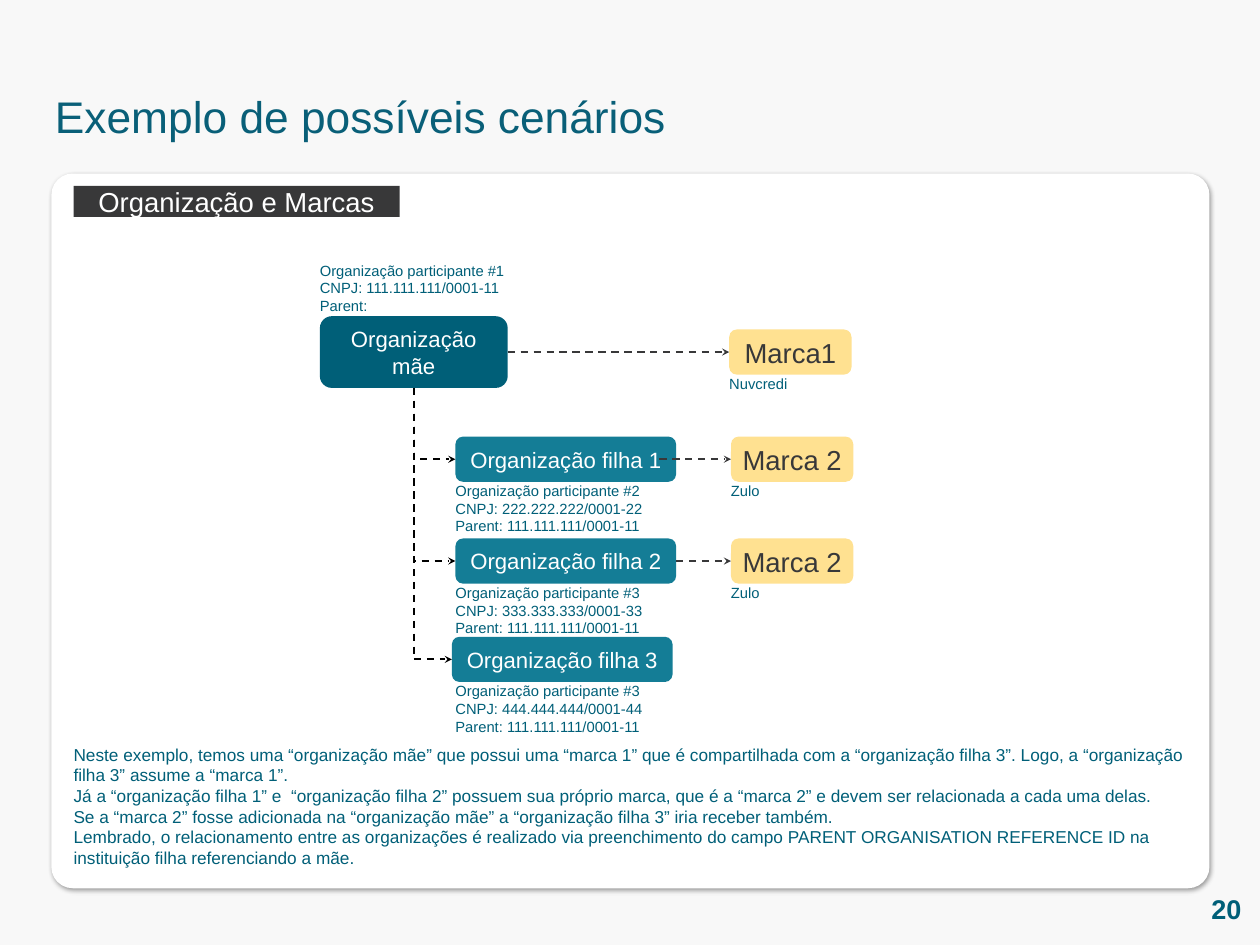
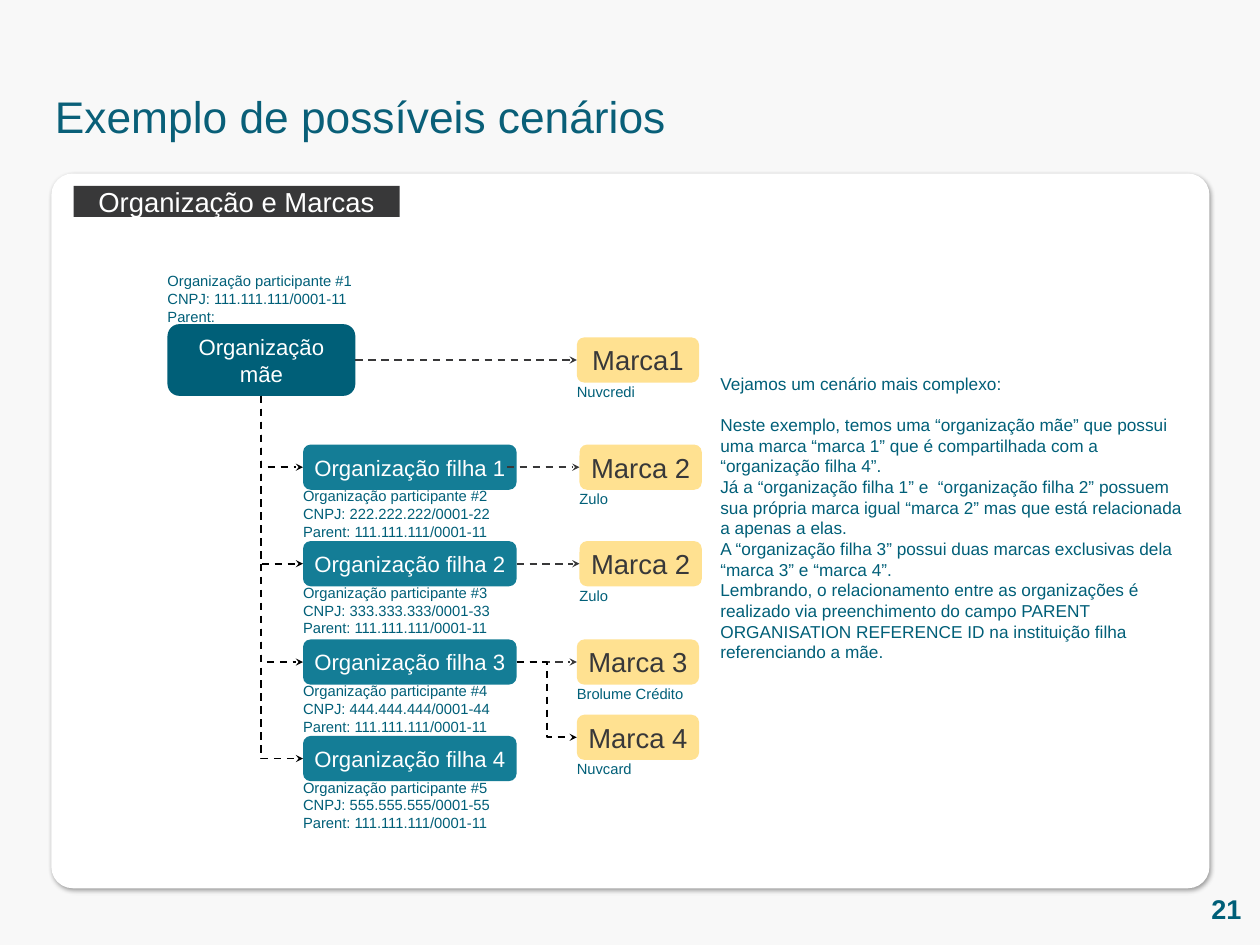
import pptx
import pptx.dml.color
import pptx.enum.dml
import pptx.enum.shapes
import pptx.enum.text
import pptx.oxml
import pptx.oxml.ns
import pptx.util

RGBColor = pptx.dml.color.RGBColor
BACKDROP = RGBColor(0xF8, 0xF8, 0xF8)
WHITE = RGBColor(0xFF, 0xFF, 0xFF)
BLACK = RGBColor(0x00, 0x00, 0x00)
NAVY = RGBColor(0x00, 0x5F, 0x78)
TITLE_BLUE = RGBColor(0x09, 0x5F, 0x78)
TEAL = RGBColor(0x14, 0x7D, 0x96)
YELLOW = RGBColor(0xFF, 0xE1, 0x91)
CHARCOAL = RGBColor(0x38, 0x38, 0x39)

Inches, Pt = pptx.util.Inches, pptx.util.Pt
SHAPE = pptx.enum.shapes.MSO_SHAPE
CONNECTOR = pptx.enum.shapes.MSO_CONNECTOR
ALIGN = pptx.enum.text.PP_ALIGN
ANCHOR = pptx.enum.text.MSO_ANCHOR
qn = pptx.oxml.ns.qn
DRAWING = pptx.oxml.ns.nsdecls("a")

# Text styles: font values, alignment and anchor
STYLES = {
    "title": ({"size": Pt(36)}, TITLE_BLUE, ALIGN.LEFT, ANCHOR.TOP),
    "number": ({"size": Pt(22), "bold": True}, NAVY, ALIGN.RIGHT, ANCHOR.MIDDLE),
    "body": ({"size": Pt(14)}, NAVY, ALIGN.LEFT, ANCHOR.TOP),
    "caption": ({"size": Pt(12)}, NAVY, ALIGN.LEFT, ANCHOR.TOP),
    "organization": ({"size": Pt(18)}, WHITE, ALIGN.CENTER, ANCHOR.MIDDLE),
    "brand": ({"size": Pt(22.3)}, CHARCOAL, ALIGN.CENTER, ANCHOR.MIDDLE),
    "heading": ({"size": Pt(22.3)}, WHITE, ALIGN.CENTER, ANCHOR.MIDDLE),
}

# Sizes of the repeated boxes, in inches
MOTHER_WIDTH, MOTHER_HEIGHT = 2.12, 0.81
ROW_HEIGHT, BRAND_WIDTH = 0.51, 1.38
CAPTION_SIZE, OWNER_SIZE = (2.93, 0.61), (1.8, 0.2)

# children: top, left, participant, CNPJ digit
# brands: name, owner, source (0 is the mother), left, drop below the source
SCENARIOS = [
    {
        "number": "20",
        "mother": (3.61, 3.57), "mother_caption_top": 2.95,
        "child_column": 5.14, "child_width": 2.49,
        "caption_gap": 0, "overlap": 0.19,
        "children": [(4.93, 5.14, 2, 2), (6.08, 5.14, 3, 3), (7.19, 5.10, 3, 4)],
        "brands": [
            ("Marca1", "Nuvcredi", 0, 8.23, 0),
            ("Marca 2", "Zulo", 1, 8.25, 0),
            ("Marca 2", "Zulo", 2, 8.25, 0),
        ],
        "body": (0.83, 8.40, 12.60, 1.41),
        "intro_space": 0,
        "paragraphs": [
            "Neste exemplo, temos uma “organização mãe” que possui uma “marca 1” que é compartilhada com a “organização filha 3”. Logo, a “organização filha 3” assume a “marca 1”.",
            "Já a “organização filha 1” e  “organização filha 2” possuem sua próprio marca, que é a “marca 2” e devem ser relacionada a cada uma delas.",
            "Se a “marca 2” fosse adicionada na “organização mãe” a “organização filha 3” iria receber também.",
            "Lembrado, o relacionamento entre as organizações é realizado via preenchimento do campo PARENT ORGANISATION REFERENCE ID na instituição filha referenciando a mãe.",
        ],
    },
    {
        "number": "21",
        "mother": (1.89, 3.66), "mother_caption_top": 3.07,
        "child_column": 3.42, "child_width": 2.41,
        "caption_gap": -0.03, "overlap": 0.11,
        "children": [(5.02, 3.42, 2, 2), (6.11, 3.42, 3, 3),
                     (7.22, 3.42, 4, 4), (8.31, 3.42, 5, 5)],
        "brands": [
            ("Marca1", "Nuvcredi", 0, 6.51, 0),
            ("Marca 2", "Zulo", 1, 6.54, 0),
            ("Marca 2", "Zulo", 2, 6.54, 0),
            ("Marca 3", "Brolume Crédito", 3, 6.51, 0),
            ("Marca 4", "Nuvcard", 3, 6.51, 0.85),
        ],
        "body": (8.13, 4.22, 5.31, 2.83),
        "intro_space": 16.1,
        "paragraphs": [
            "Vejamos um cenário mais complexo:",
            "Neste exemplo, temos uma “organização mãe” que possui uma marca “marca 1” que é compartilhada com a “organização filha 4”.",
            "Já a “organização filha 1” e  “organização filha 2” possuem sua própria marca igual “marca 2” mas que está relacionada a apenas a elas.",
            "A “organização filha 3” possui duas marcas exclusivas dela “marca 3” e “marca 4”.",
            "Lembrando, o relacionamento entre as organizações é realizado via preenchimento do campo PARENT ORGANISATION REFERENCE ID na instituição filha referenciando a mãe.",
        ],
    },
]


def add_box(page, place, lines, style, fill=None, preset=SHAPE.ROUNDED_RECTANGLE):
    """Add a text box, or a filled shape when a fill is given."""
    lengths = [Inches(length) for length in place]
    if fill is None:
        box = page.shapes.add_textbox(*lengths)
    else:
        box = page.shapes.add_shape(preset, *lengths)
        box.shadow.inherit = False
        box.fill.solid()
        box.fill.fore_color.rgb = fill
        box.line.fill.background()
    font_values, color, alignment, anchor = STYLES[style]
    frame = box.text_frame
    frame.word_wrap = True
    frame.vertical_anchor = anchor
    if fill is None:
        for side in ("left", "top", "right", "bottom"):
            setattr(frame, f"margin_{side}", 0)
    for index, line in enumerate(lines):
        para = frame.add_paragraph() if index else frame.paragraphs[0]
        para.alignment = alignment
        span = para.add_run()
        span.text = line
        for name, value in {"name": "Arial", **font_values}.items():
            setattr(span.font, name, value)
        span.font.color.rgb = color
    return box


def add_arrow(page, kind, start, end, color):
    """Add a dashed arrow between two points."""
    points = [Inches(length) for length in (*start, *end)]
    arrow = page.shapes.add_connector(kind, *points)
    arrow.line.color.rgb = color
    arrow.line.width = Pt(1.5)
    arrow.line.dash_style = pptx.enum.dml.MSO_LINE.DASH
    properties = arrow.element.spPr
    properties.find(qn("a:ln")).append(
        pptx.oxml.parse_xml(f'<a:tailEnd {DRAWING} type="stealth"/>'))
    properties.append(pptx.oxml.parse_xml(f"<a:effectLst {DRAWING}/>"))
    return arrow


deck = pptx.Presentation()
deck.slide_width, deck.slide_height = Inches(14.22), Inches(10.67)
backdrop = deck.slide_master.background.fill
backdrop.solid()
backdrop.fore_color.rgb = BACKDROP

for scenario in SCENARIOS:
    page = deck.slides.add_slide(deck.slide_layouts[6])

    # White panel with its shadow, page number, title and heading
    panel = add_box(page, (0.58, 1.96, 13.07, 8.07), [], "body", WHITE)
    panel.adjustments[0] = 0.03
    panel.element.spPr.find(qn("a:effectLst")).append(pptx.oxml.parse_xml(
        f'<a:outerShdw {DRAWING} blurRad="50800" dist="38100" dir="2700000" '
        'algn="tl" rotWithShape="0"><a:srgbClr val="000000">'
        '<a:alpha val="40000"/></a:srgbClr></a:outerShdw>'))
    add_box(page, (13.2, 10.03, 0.81, 0.47), [scenario["number"]], "number")
    add_box(page, (0.62, 1.01, 7.88, 0.61), ["Exemplo de possíveis cenários"], "title")
    add_box(page, (0.83, 2.1, 3.68, 0.35), ["Organização e Marcas"], "heading",
            CHARCOAL, SHAPE.RECTANGLE)

    # Explanation
    body = add_box(page, scenario["body"], scenario["paragraphs"], "body")
    if scenario["intro_space"]:
        body.text_frame.paragraphs[0].space_after = Pt(scenario["intro_space"])

    # Mother organization
    mother_left, mother_top = scenario["mother"]
    mother_middle = mother_left + MOTHER_WIDTH / 2
    mother_bottom = mother_top + MOTHER_HEIGHT
    mother = add_box(page, (mother_left, mother_top, MOTHER_WIDTH, MOTHER_HEIGHT),
                     ["Organização mãe"], "organization", NAVY)
    add_box(page, (mother_left, scenario["mother_caption_top"], *CAPTION_SIZE),
            ["Organização participante #1", "CNPJ: 111.111.111/0001-11", "Parent:"],
            "caption")

    # Each source keeps its box, right edge and centre line
    sources = [(mother, mother_left + MOTHER_WIDTH, mother_top + MOTHER_HEIGHT / 2)]

    # Child organizations, each reached by an elbow from the mother
    for order, (top, left, participant, digit) in enumerate(scenario["children"], 1):
        center = top + ROW_HEIGHT / 2
        child = add_box(page, (left, top, scenario["child_width"], ROW_HEIGHT),
                        [f"Organização filha {order}"], "organization", TEAL)
        sources.append((child, left + scenario["child_width"], center))
        block = str(digit) * 3
        add_box(page, (scenario["child_column"],
                       top + ROW_HEIGHT + scenario["caption_gap"], *CAPTION_SIZE),
                [f"Organização participante #{participant}",
                 f"CNPJ: {block}.{block}.{block}/0001-{str(digit) * 2}",
                 "Parent: 111.111.111/0001-11"], "caption")

        # A two-part elbow is stored turned by 270 degrees and flipped
        arrow = add_arrow(page, CONNECTOR.ELBOW, (mother_middle, mother_bottom),
                          (left, center), BLACK)
        arrow.begin_connect(mother, 2)
        arrow.end_connect(child, 1)
        across, down = left - mother_middle, center - mother_bottom
        turned = {"left": mother_middle + (across - down) / 2,
                  "top": mother_bottom + (down - across) / 2,
                  "width": down, "height": across}
        for name, length in turned.items():
            setattr(arrow, name, Inches(length))
        properties = arrow.element.spPr
        properties.find(qn("a:prstGeom")).set("prst", "bentConnector2")
        frame = properties.find(qn("a:xfrm"))
        frame.set("rot", "16200000")
        frame.set("flipH", "1")

    # Brands, each linked to the organization that holds it
    for name, owner, source, left, drop in scenario["brands"]:
        origin, right, center = sources[source]
        top = center + drop - ROW_HEIGHT / 2
        brand = add_box(page, (left, top, BRAND_WIDTH, ROW_HEIGHT), [name],
                        "brand", YELLOW)
        add_box(page, (left, top + ROW_HEIGHT, *OWNER_SIZE), [owner], "caption")
        overlap = scenario["overlap"] if source == 1 else 0
        kind, color = ((CONNECTOR.ELBOW, BLACK) if drop
                       else (CONNECTOR.STRAIGHT, CHARCOAL))
        arrow = add_arrow(page, kind, (right - overlap, center),
                          (left, center + drop), color)
        if not overlap:
            arrow.begin_connect(origin, 3)
        arrow.end_connect(brand, 1)

deck.save("out.pptx")
